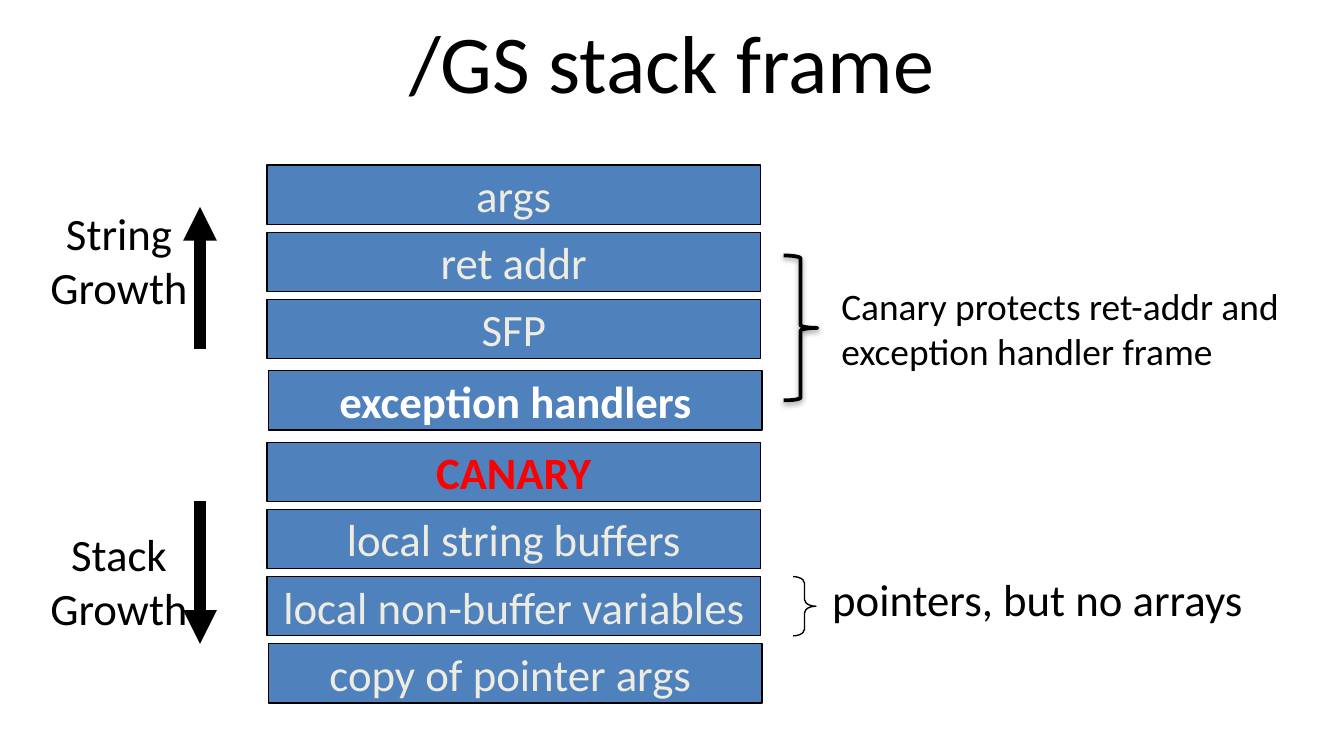
import pptx
import pptx.util
import pptx.dml.color
import pptx.enum.shapes
import pptx.enum.text
import pptx.oxml
import pptx.oxml.ns
from lxml import etree

Cm = pptx.util.Cm
Pt = pptx.util.Pt
RGBColor = pptx.dml.color.RGBColor
SHAPE = pptx.enum.shapes.MSO_SHAPE
ALIGN = pptx.enum.text.PP_ALIGN
ANCHOR = pptx.enum.text.MSO_ANCHOR
qn = pptx.oxml.ns.qn

BLACK = RGBColor(0x00, 0x00, 0x00)
WHITE = RGBColor(0xFF, 0xFF, 0xFF)
RED = RGBColor(0xFF, 0x00, 0x00)
CREAM = RGBColor(0xEE, 0xEC, 0xE1)
BLUE = RGBColor(0x4F, 0x81, 0xBD)

presentation = pptx.Presentation()
presentation.slide_width = Cm(25.4)
presentation.slide_height = Cm(14.29)
slide = presentation.slides.add_slide(presentation.slide_layouts[6])
shapes = slide.shapes


def write(shape, text, size=24, color=BLACK, bold=False,
          align=ALIGN.CENTER, anchor=ANCHOR.MIDDLE):
    """Put one unwrapped paragraph into a shape; \\v breaks the line."""
    frame = shape.text_frame
    frame.word_wrap = False
    frame.vertical_anchor = anchor
    paragraph = frame.paragraphs[0]
    paragraph.text = text
    paragraph.alignment = align
    paragraph.font.name = "Calibri"
    paragraph.font.size = Pt(size)
    paragraph.font.bold = bold
    paragraph.font.color.rgb = color


def add_outlined(kind, left, top, width, height, line_width=0.75):
    """Add a black-outlined preset shape without fill or shadow (cm)."""
    shape = shapes.add_shape(kind, Cm(left), Cm(top), Cm(width), Cm(height))
    shape.shadow.inherit = False
    shape.fill.background()
    shape.line.color.rgb = BLACK
    shape.line.width = Pt(line_width)
    return shape


title = shapes.add_textbox(Cm(1.27), Cm(-0.05), Cm(22.86), Cm(2.39))
write(title, "/GS stack frame", size=44)

# Stack frame: two evenly spaced groups with the exception handlers between
ROW_PITCH = 1.27
UPPER_TOP = 3.12
LOWER_TOP = 8.36
rows = [
    ("args", 5.05, UPPER_TOP, CREAM, False),
    ("ret addr", 5.05, UPPER_TOP + ROW_PITCH, CREAM, False),
    ("SFP", 5.05, UPPER_TOP + 2 * ROW_PITCH, CREAM, False),
    ("exception handlers", 5.08, 7.01, WHITE, True),
    ("CANARY", 5.05, LOWER_TOP, RED, True),
    ("local string buffers", 5.05, LOWER_TOP + ROW_PITCH, CREAM, False),
    ("local non-buffer variables", 5.05, LOWER_TOP + 2 * ROW_PITCH, CREAM, False),
    ("copy of pointer args ", 5.08, LOWER_TOP + 3 * ROW_PITCH, CREAM, False),
]
for text, left, top, color, bold in rows:
    row = add_outlined(SHAPE.RECTANGLE, left, top, 9.32, 1.12)
    row.fill.solid()
    row.fill.fore_color.rgb = BLUE
    write(row, text, color=color, bold=bold)

# Growth arrows
ARROW_X = Cm(3.78)
for start, end in [(6.6, 3.91), (9.47, 12.17)]:
    arrow = shapes.add_connector(pptx.enum.shapes.MSO_CONNECTOR.STRAIGHT,
                                 ARROW_X, Cm(start), ARROW_X, Cm(end))
    arrow.line.color.rgb = BLACK
    arrow.line.width = Pt(6)
    etree.SubElement(arrow.line._get_or_add_ln(), qn("a:tailEnd"), type="triangle")
    etree.SubElement(arrow._element.spPr, qn("a:effectLst"))

# Labels beside the stack
labels = [
    ("String\vGrowth", 0.69, 3.76, 3.12, 2.31, 24, ALIGN.CENTER),
    ("Stack\vGrowth", 0.69, 9.83, 3.12, 2.31, 24, ALIGN.CENTER),
    ("pointers, but no arrays", 15.44, 10.69, 8.33, 1.27, 24, ALIGN.CENTER),
    ("Canary protects ret-addr and \vexception handler frame",
     15.65, 5.23, 9.04, 1.96, 20, ALIGN.LEFT),
]
for text, left, top, width, height, size, align in labels:
    label = shapes.add_textbox(Cm(left), Cm(top), Cm(width), Cm(height))
    write(label, text, size=size, align=align, anchor=ANCHOR.TOP)

# Braces
pointer_brace = add_outlined(SHAPE.RIGHT_BRACE, 14.99, 10.9, 0.43, 1.12)
pointer_brace.adjustments[0] = 0.29
canary_brace = add_outlined(SHAPE.RIGHT_BRACE, 14.81, 4.83, 0.64, 2.74, line_width=2)
effects = canary_brace._element.spPr.find(qn("a:effectLst"))
shadow = etree.SubElement(effects, qn("a:outerShdw"), blurRad=str(Pt(3.1)),
                          dist=str(Pt(1.6)), dir="5400000", rotWithShape="0")
shadow_color = etree.SubElement(shadow, qn("a:srgbClr"), val=str(BLACK))
etree.SubElement(shadow_color, qn("a:alpha"), val="38000")

presentation.save("out.pptx")
